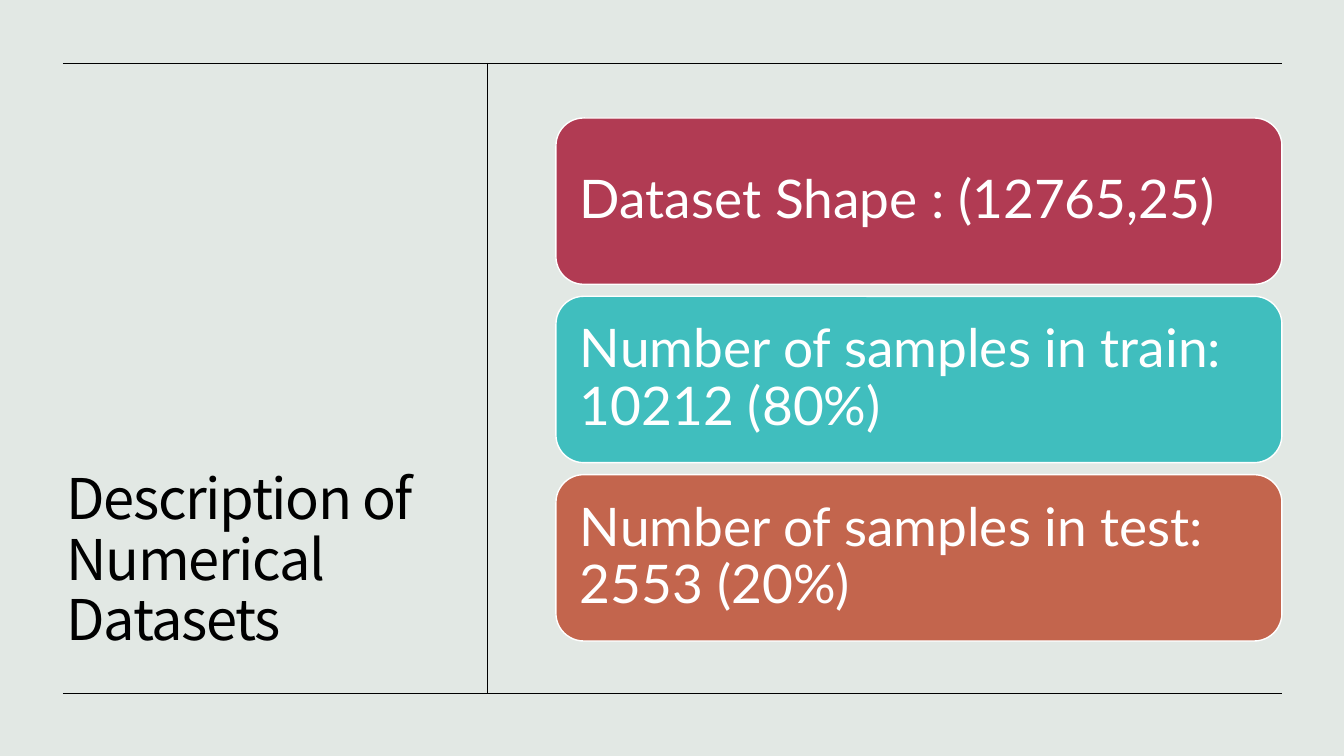
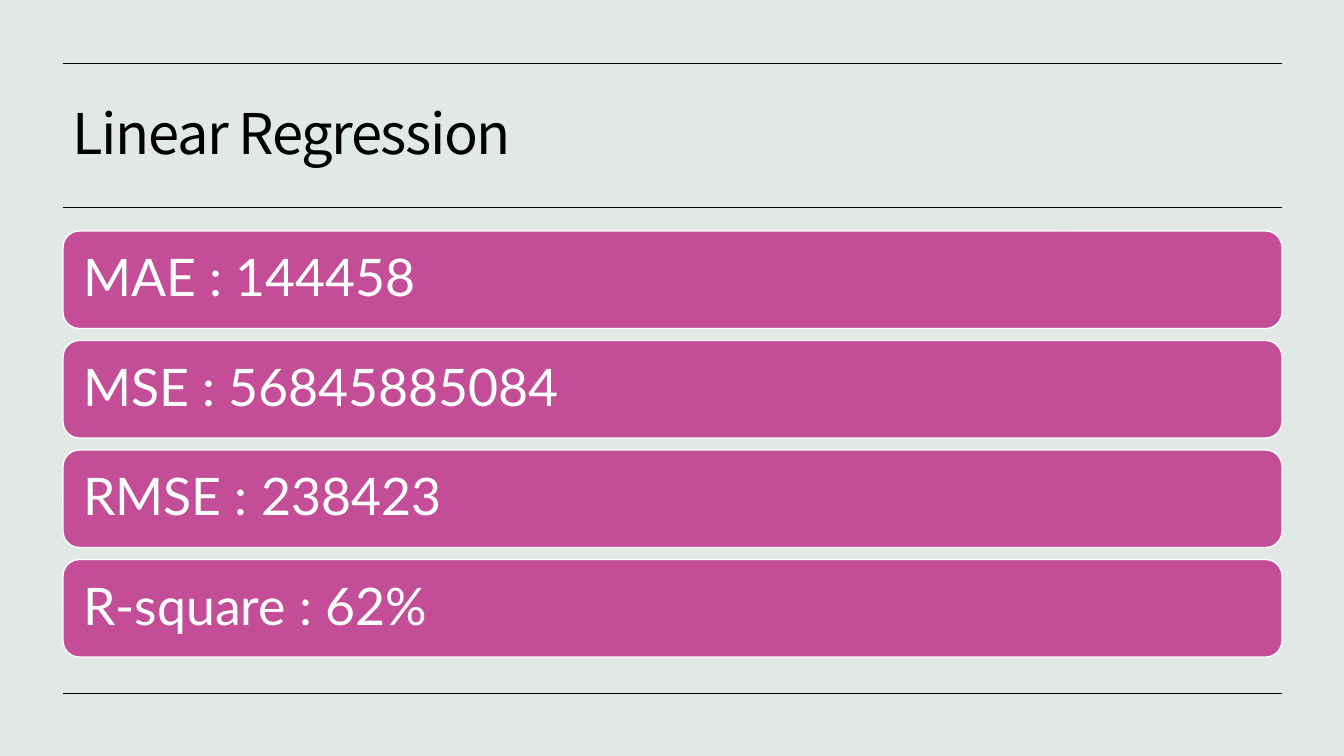
from lxml import etree
from pptx import Presentation
from pptx import util as u
from pptx.dml.color import RGBColor
from pptx.enum import shapes, text
from pptx.oxml.ns import qn

WIDTH, HEIGHT = 1344, 756
LEFT, RIGHT = 63, 1282
TOP, BOTTOM = 63, 693
CARD_GAP = 12
TITLE_FONT, CARD_FONT = "Noto Sans CJK KR", "Lato"
BACKGROUND, INK, WHITE = "E2E8E4", "000000", "FFFFFF"
CRIMSON, TEAL, RUST, MAGENTA = "B13B53", "40BEBE", "C3654D", "C34D97"


def px(length):
    """Turn pixels into EMU."""
    return u.Emu(round(length * 12192000 / WIDTH))


def paint(color_format, color):
    """Set a fill, line or font colour from a hex string."""
    color_format.rgb = RGBColor.from_string(color)


def write(frame, wording, font, size, color, anchor):
    """Write one left-aligned, wrapped paragraph and return its run."""
    frame.word_wrap = True
    frame.vertical_anchor = anchor
    paragraph = frame.paragraphs[0]
    paragraph.alignment = text.PP_ALIGN.LEFT
    paragraph.line_spacing = 0.9
    paragraph.font.name = font
    paragraph.font.size = u.Pt(size)
    paint(paragraph.font.color, color)
    run = paragraph.add_run()
    run.text = wording
    return run


def add_rule(slide, x1, y1, x2, y2):
    """Draw a thin straight rule."""
    rule = slide.shapes.add_connector(
        shapes.MSO_CONNECTOR.STRAIGHT, px(x1), px(y1), px(x2), px(y2))
    rule.line.width = u.Pt(0.5)
    paint(rule.line.color, INK)
    etree.SubElement(rule._element.spPr, qn("a:effectLst"))


def add_title(slide, wording, box, anchor):
    """Add the slide title with tightened letter spacing."""
    title = slide.shapes.add_textbox(*map(px, box))
    run = write(title.text_frame, wording, TITLE_FONT, 40, INK, anchor)
    run._r.get_or_add_rPr().set("spc", "-100")


def add_card(slide, wording, color, size, box):
    """Add a rounded card whose padding follows its text size."""
    card = slide.shapes.add_shape(
        shapes.MSO_SHAPE.ROUNDED_RECTANGLE, *map(px, box))
    card.shadow.inherit = False
    card.fill.solid()
    paint(card.fill.fore_color, color)
    card.line.width = u.Pt(1)
    paint(card.line.color, WHITE)
    frame = card.text_frame
    frame.margin_left = frame.margin_right = u.Pt(size * 0.3)
    frame.margin_top = frame.margin_bottom = u.Pt(size * 0.3)
    write(frame, wording, CARD_FONT, size, WHITE, text.MSO_ANCHOR.MIDDLE)


def add_card_stack(slide, cards, size, left, top, bottom):
    """Stack cards of equal height between two edges."""
    height = (bottom - top - CARD_GAP * (len(cards) - 1)) / len(cards)
    for row, (wording, color) in enumerate(cards):
        y = top + row * (height + CARD_GAP)
        add_card(slide, wording, color, size, (left, y, RIGHT - left, height))


def add_framed_slide(deck):
    """Add a slide with the shared background and outer rules."""
    slide = deck.slides.add_slide(deck.slide_layouts[6])
    slide.background.fill.solid()
    paint(slide.background.fill.fore_color, BACKGROUND)
    for y in (TOP, BOTTOM):
        add_rule(slide, LEFT, y, RIGHT, y)
    return slide


def build_dataset_slide(deck):
    """Build the description of the datasets."""
    slide = add_framed_slide(deck)
    add_rule(slide, 487, TOP, 487, BOTTOM)
    add_title(slide, "Description of Numerical Datasets",
              (57, 100, 386, 558), text.MSO_ANCHOR.BOTTOM)
    cards = [
        ("Dataset Shape : (12765,25)", CRIMSON),
        ("Number of samples in train: 10212 (80%)", TEAL),
        ("Number of samples in test: 2553 (20%)", RUST),
    ]
    add_card_stack(slide, cards, 38, 556, 118, 641)


def build_regression_slide(deck):
    """Build the linear regression scores."""
    slide = add_framed_slide(deck)
    add_rule(slide, LEFT, 207, RIGHT, 207)
    add_title(slide, "Linear Regression",
              (LEFT, 76, RIGHT - LEFT, 120), text.MSO_ANCHOR.MIDDLE)
    scores = ["MAE : 144458", "MSE : 56845885084",
              "RMSE : 238423", "R-square : 62%"]
    cards = [(score, MAGENTA) for score in scores]
    add_card_stack(slide, cards, 37, LEFT, 231, 657)


def main():
    """Build and save the presentation."""
    deck = Presentation()
    deck.slide_width, deck.slide_height = px(WIDTH), px(HEIGHT)
    build_dataset_slide(deck)
    build_regression_slide(deck)
    deck.save("out.pptx")


if __name__ == "__main__":
    main()
